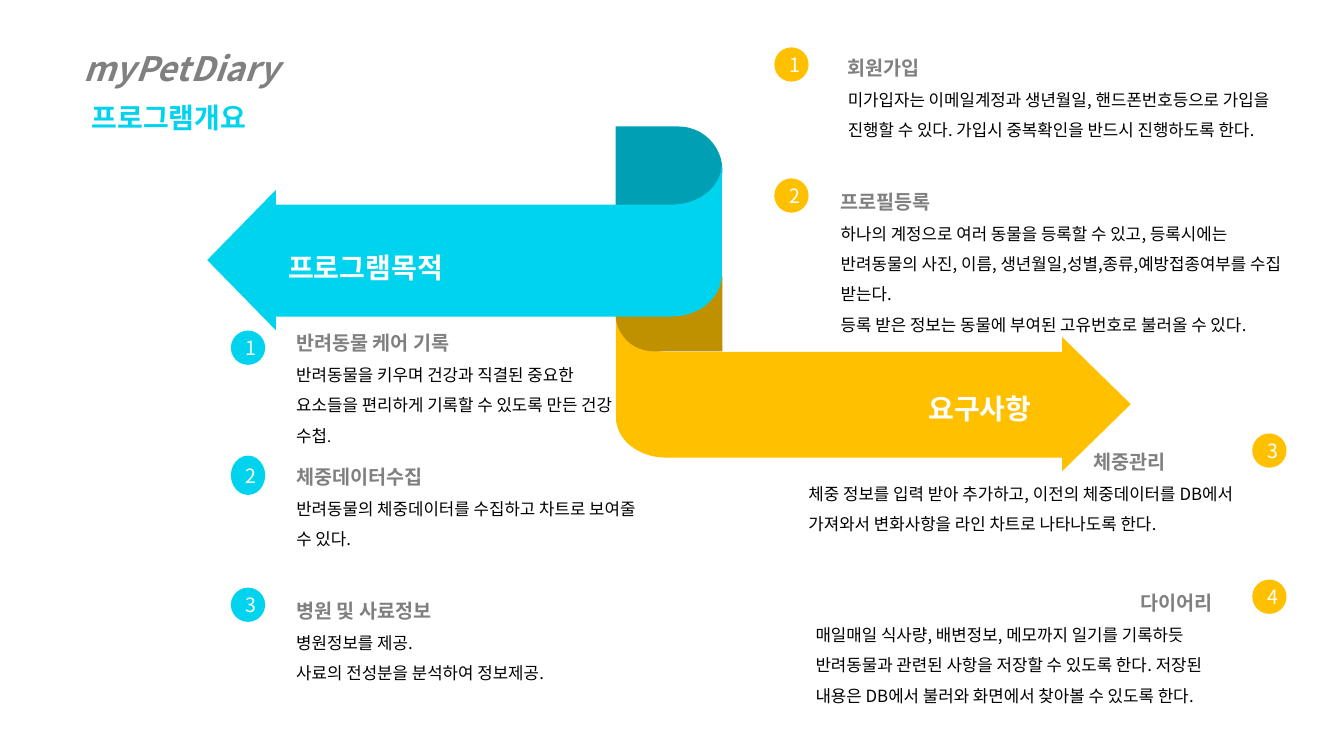
from lxml import etree
from pptx import Presentation
from pptx.dml.color import RGBColor
from pptx.enum.shapes import MSO_SHAPE
from pptx.enum.text import MSO_ANCHOR, MSO_AUTO_SIZE, PP_ALIGN
from pptx.oxml.ns import qn
from pptx.util import Inches, Pt

FONT = "Noto Sans CJK KR"
CYAN = RGBColor(0x00, 0xD3, 0xED)
TEAL = RGBColor(0x00, 0x9F, 0xB4)
AMBER = RGBColor(0xFF, 0xC0, 0x00)
BROWN = RGBColor(0xBF, 0x90, 0x00)
GREY = RGBColor(0x80, 0x80, 0x80)
BLACK = RGBColor(0, 0, 0)
WHITE = RGBColor(0xFF, 0xFF, 0xFF)

HEADING = {"size": Pt(14), "bold": True, "color": GREY}
BODY = {"size": Pt(12), "bold": False, "color": BLACK}
SMALL = {**BODY, "size": Pt(10.5)}
NUMBER = {"size": Pt(14), "color": WHITE}
APP_NAME = {"size": Pt(24), "bold": True, "italic": True, "color": GREY}
SUBTITLE = {"size": Pt(20), "bold": True, "color": CYAN}
ARROW_LABEL = {**SUBTITLE, "color": WHITE}

TITLES = [
    ("myPetDiary", (0.73, 0.23, 4.78, 0.63), APP_NAME, PP_ALIGN.LEFT),
    ("프로그램개요", (0.81, 0.78, 3.28, 0.54), SUBTITLE, PP_ALIGN.LEFT),
    ("프로그램목적", (2.76, 2.27, 4.05, 0.61), ARROW_LABEL, PP_ALIGN.LEFT),
    ("요구사항", (6.28, 3.67, 4.05, 0.61), ARROW_LABEL, PP_ALIGN.RIGHT),
]

PURPOSES = [
    ("반려동물 케어 기록", (2.84, 3.12, 3.36, 1.41), 0, (2.29, 3.28, 0.34, 0.34),
     [[("반려동물을 키우며 건강과 직결된 중요한 요소들을 편리하게 기록할 수 있도록 만든 건강 수첩", BODY),
       (".", SMALL)]]),
    ("체중데이터수집", (2.84, 4.45, 3.59, 1.06), 0, (2.29, 4.52, 0.34, 0.39),
     [[("반려동물의 체중데이터를 수집하고 차트로 보여줄 수 있다.", BODY)]]),
    ("병원 및 사료정보", (2.84, 5.78, 3.36, 1.06), 0, (2.29, 5.83, 0.34, 0.34),
     [[("병원정보를 제공.", BODY)],
      [("사료의 전성분을 분석하여 정보제공.", BODY)]]),
]

REQUIREMENTS = [
    ("회원가입", (8.31, 0.39, 4.38, 1.36), 0, (7.68, 0.47, 0.34, 0.34),
     [[("미가입자는 이메일계정과 생년월일, 핸드폰번호등으로 가입을 진행할 수 있다. "
        "가입시 중복확인을 반드시 진행하도록 한다.", BODY)]]),
    ("프로필등록", (8.24, 1.72, 4.68, 1.67), 0, (7.68, 1.77, 0.34, 0.34),
     [[("하나의 계정으로 여러 동물을 등록할 수 있고, 등록시에는 반려동물의 사진, 이름, "
        "생년월일,성별,종류,예방접종여부를 수집 받는다.", BODY)],
      [("등록 받은 정보는 동물에 부여된 고유번호로 불러올 수 있다.", BODY)]]),
    ("체중관리", (7.92, 4.3, 4.43, 1.36), 2.83, (12.42, 4.3, 0.34, 0.34),
     [[("체중 정보를 입력 받아 추가하고, 이전의 체중데이터를 DB에서 가져와서 "
        "변화사항을 라인 차트로 나타나도록 한다.", BODY)]]),
    ("다이어리", (7.99, 5.7, 4.38, 1.67), 3.22, (12.42, 5.75, 0.34, 0.34),
     [[("매일매일 식사량, 배변정보, 메모까지 일기를 기록하듯 반려동물과 관련된 사항을 저장할 수 있도록 한다. "
        "저장된 내용은 DB에서 불러와 화면에서 찾아볼 수 있도록 한다.", BODY)]]),
]

AMBER_BAND = [
    [(6.11, 3.09)], [(6.11, 4.14)],
    [(6.11, 4.36), (6.33, 4.54), (6.61, 4.54)],
    [(10.54, 4.54)], [(10.54, 3.49)], [(6.61, 3.49)],
    [(6.33, 3.49), (6.11, 3.31), (6.11, 3.09)],
]
CYAN_BAND = [
    [(7.16, 1.62)], [(7.16, 2.72)],
    [(7.16, 2.95), (6.94, 3.14), (6.66, 3.14)],
    [(2.73, 3.14)], [(2.73, 2.03)], [(6.66, 2.03)],
    [(6.94, 2.03), (7.16, 1.85), (7.16, 1.62)],
]
AMBER_FOLD = (MSO_SHAPE.ROUND_2_SAME_RECTANGLE, (6.26, 2.58, 0.75, 1.06), BROWN, 270, (0.5, 0))
AMBER_HEAD = (MSO_SHAPE.ISOSCELES_TRIANGLE, (10.21, 3.67, 1.33, 0.68), AMBER, 90, ())
CYAN_FOLD = (MSO_SHAPE.ROUND_2_SAME_RECTANGLE, (6.2, 1.16, 0.87, 1.06), TEAL, 90, (0.5, 0))
CYAN_HEAD = (MSO_SHAPE.ISOSCELES_TRIANGLE, (1.7, 2.24, 1.39, 0.68), CYAN, 270, ())
CURVE_STEPS = 16

prs = Presentation()
prs.slide_width, prs.slide_height = Inches(13.33), Inches(7.5)
slide = prs.slides.add_slide(prs.slide_layouts[6])


def inches(values):
    return [Inches(value) for value in values]


def paint(shape, color):
    shape.shadow.inherit = False
    shape.fill.solid()
    shape.fill.fore_color.rgb = color
    shape.line.fill.background()


def add_run(paragraph, text, style):
    run = paragraph.add_run()
    run.text = text
    for key, value in {"name": FONT, **style}.items():
        if key == "color":
            run.font.color.rgb = value
        else:
            setattr(run.font, key, value)
    etree.SubElement(run.font._element, qn("a:ea")).set("typeface", FONT)


def add_text(box, paragraphs, align=PP_ALIGN.LEFT, heading_indent=0):
    frame = slide.shapes.add_textbox(*inches(box)).text_frame
    frame.word_wrap = True
    frame.auto_size = MSO_AUTO_SIZE.SHAPE_TO_FIT_TEXT
    for index, runs in enumerate(paragraphs):
        paragraph = frame.add_paragraph() if index else frame.paragraphs[0]
        paragraph.line_spacing = 1.5
        paragraph.alignment = align
        if heading_indent and index == 0:
            paragraph._p.get_or_add_pPr().set("marL", str(Inches(heading_indent)))
        for text, style in runs:
            add_run(paragraph, text, style)


def curve_points(start, first, second, end):
    for step in range(1, CURVE_STEPS + 1):
        t = step / CURVE_STEPS
        weights = ((1 - t) ** 3, 3 * t * (1 - t) ** 2, 3 * t * t * (1 - t), t ** 3)
        yield tuple(sum(w * p[axis] for w, p in zip(weights, (start, first, second, end)))
                    for axis in (0, 1))


def add_band(segments, color):
    outline = list(segments[0])
    for segment in segments[1:]:
        outline += segment if len(segment) == 1 else list(curve_points(outline[-1], *segment))
    points = [inches(point) for point in outline]
    builder = slide.shapes.build_freeform(*points[0], scale=1.0)
    builder.add_line_segments(points[1:], close=True)
    paint(builder.convert_to_shape(), color)


def add_part(kind, box, color, rotation, adjustments):
    part = slide.shapes.add_shape(kind, *inches(box))
    part.rotation = rotation
    for index, value in enumerate(adjustments):
        part.adjustments[index] = value
    paint(part, color)


def add_badge(number, box, color):
    badge = slide.shapes.add_shape(MSO_SHAPE.OVAL, *inches(box))
    paint(badge, color)
    badge.text_frame.vertical_anchor = MSO_ANCHOR.MIDDLE
    paragraph = badge.text_frame.paragraphs[0]
    paragraph.alignment = PP_ALIGN.CENTER
    add_run(paragraph, str(number), NUMBER)


add_band(AMBER_BAND, AMBER)
for part in (AMBER_FOLD, AMBER_HEAD, CYAN_FOLD):
    add_part(*part)
add_band(CYAN_BAND, CYAN)
add_part(*CYAN_HEAD)

for text, box, style, align in TITLES:
    add_text(box, [[(text, style)]], align)

for entries, color in ((PURPOSES, CYAN), (REQUIREMENTS, AMBER)):
    for number, (heading, box, indent, badge_box, body) in enumerate(entries, 1):
        add_text(box, [[(heading, HEADING)], *body], heading_indent=indent)
        add_badge(number, badge_box, color)

prs.save("out.pptx")
